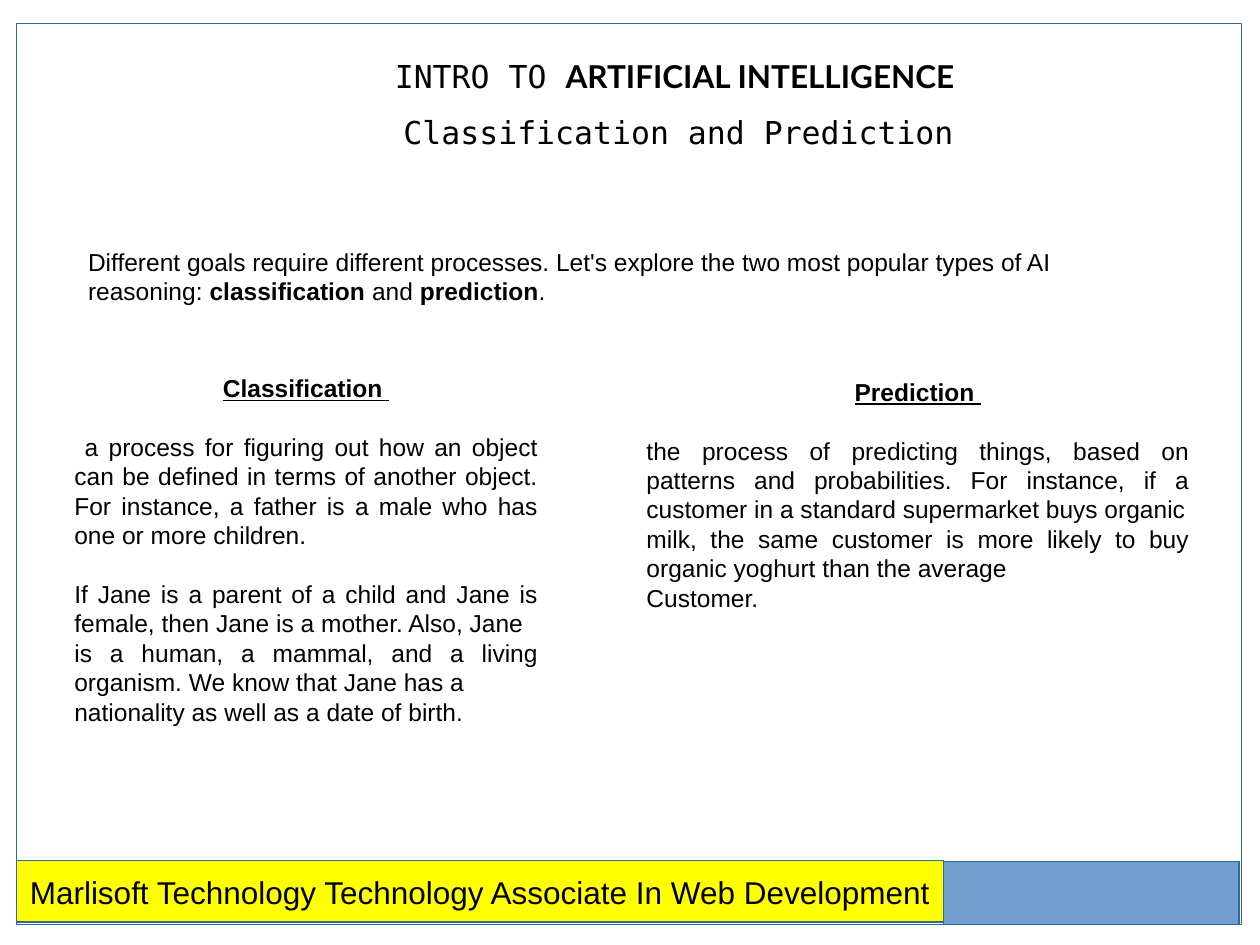
import pptx
import pptx.util
import pptx.dml.color
import pptx.enum.shapes
import pptx.enum.text
import lxml.etree

Pt = pptx.util.Pt
ALIGN = pptx.enum.text.PP_ALIGN
COLORS = {"text": "000000", "line": "3465A4", "banner": "FFFF00", "accent": "729FCF"}
BLANK_LINE = 16.8


def color(name):
    return pptx.dml.color.RGBColor.from_string(COLORS[name])


def place(item, box):
    item.left, item.top, item.width, item.height = (Pt(length) for length in box)


def prepare_frame(item):
    frame = item.text_frame
    frame.word_wrap = True
    frame.auto_size = pptx.enum.text.MSO_AUTO_SIZE.NONE
    frame.vertical_anchor = pptx.enum.text.MSO_ANCHOR.TOP
    return frame


def add_para(frame, spans, align=ALIGN.LEFT, size=14, before=0, spacing=1.0):
    """Add one paragraph; each span is (text, font, bold, underline)."""
    first = frame.paragraphs[0]
    para = frame.add_paragraph() if first.runs else first
    para.alignment = align
    para.space_before = Pt(before)
    para.line_spacing = spacing
    for text, font, bold, underline in spans:
        span = para.add_run()
        span.text = text
        span.font.name = font
        span.font.size = Pt(size)
        span.font.bold = bold
        span.font.underline = underline
        span.font.color.rgb = color("text")
    return para


def remove_bullet(para):
    properties = para._p.get_or_add_pPr()
    properties.set("marL", "0")
    properties.set("indent", "0")
    lxml.etree.SubElement(properties, pptx.oxml.ns.qn("a:buNone"))


def add_rectangle(page, box, fill=None):
    left, top, width, height = (Pt(length) for length in box)
    shape = page.shapes.add_shape(
        pptx.enum.shapes.MSO_SHAPE.RECTANGLE, left, top, width, height)
    shape.shadow.inherit = False
    if fill:
        shape.fill.solid()
        shape.fill.fore_color.rgb = color(fill)
    else:
        shape.fill.background()
    shape.line.color.rgb = color("line")
    shape.line.width = Pt(0.75)


def add_text_box(page, box):
    return prepare_frame(page.shapes.add_textbox(*(Pt(length) for length in box)))


def fill_title(title, box):
    place(title, box)
    frame = prepare_frame(title)
    mono = "DejaVu Sans Mono"
    lines = [
        [("INTRO TO ", mono, False, False),
         ("ARTIFICIAL INTELLIGENCE ", "Lato", True, False)],
        [("Classification and Prediction", mono, False, False)],
    ]
    for spans in lines:
        add_para(frame, spans, ALIGN.CENTER, size=18, spacing=1.5)


def add_intro(page, box):
    parts = [
        ("Different goals require different processes. Let's explore the two "
         "most popular types of AI reasoning: ", False),
        ("classification", True), (" and ", False), ("prediction", True), (".", False),
    ]
    add_para(add_text_box(page, box), [(text, "Arial", bold, False) for text, bold in parts])


def fill_column(body, box, heading, blocks):
    """Underlined heading, then blocks of justified lines set apart by a gap."""
    place(body, box)
    frame = prepare_frame(body)
    remove_bullet(add_para(frame, [(heading, "Arial", True, True)], ALIGN.CENTER))
    for block in blocks:
        for index, text in enumerate(block):
            before = 0 if index else BLANK_LINE
            remove_bullet(add_para(
                frame, [(text, "Arial", False, False)], ALIGN.JUSTIFY, before=before))


def add_footer(page, box):
    left, top, width, height = box
    banner_width = 529.5
    add_rectangle(page, (left, top, banner_width, height - 1), "banner")
    add_rectangle(page, (left + banner_width, top + 0.5, width - banner_width, height), "accent")
    frame = add_text_box(page, (left + 0.5, top + 3.5, 562.5, 47.5))
    caption = "Marlisoft Technology Technology Associate In Web Development"
    add_para(frame, [(caption, "Arial", False, False)], size=18)


def main():
    deck = pptx.Presentation()
    deck.slide_width, deck.slide_height = Pt(720), Pt(540)
    page = deck.slides.add_slide(deck.slide_layouts.get_by_name("Two Content"))
    left_body, right_body = page.placeholders[1], page.placeholders[2]

    # Heading and introduction
    fill_title(page.shapes.title, (162.7, 18, 450, 72))
    add_intro(page, (43.2, 137.5, 630, 47.5))

    # Two definitions side by side
    fill_column(left_body, (35.3, 209.5, 279.4, 211.7), "Classification ", [
        [" a process for figuring out how an object can be defined in terms of another "
         "object. For instance, a father is a male who has one or more children."],
        ["If Jane is a parent of a child and Jane is female, then Jane is a mother. Also, Jane",
         "is a human, a mammal, and a living organism. We know that Jane has a",
         "nationality as well as a date of birth."],
    ])
    fill_column(right_body, (362.2, 211.7, 324.7, 164.2), "Prediction ", [
        ["the process of predicting things, based on patterns and probabilities. For "
         "instance, if a customer in a standard supermarket buys organic",
         "milk, the same customer is more likely to buy organic yoghurt than the average",
         "Customer."],
    ])

    # Footer strip and page frame
    add_footer(page, (9.5, 491.8, 698.5, 36))
    add_rectangle(page, (9.5, 13.5, 699.8, 514.8))

    deck.save("out.pptx")


if __name__ == "__main__":
    main()
